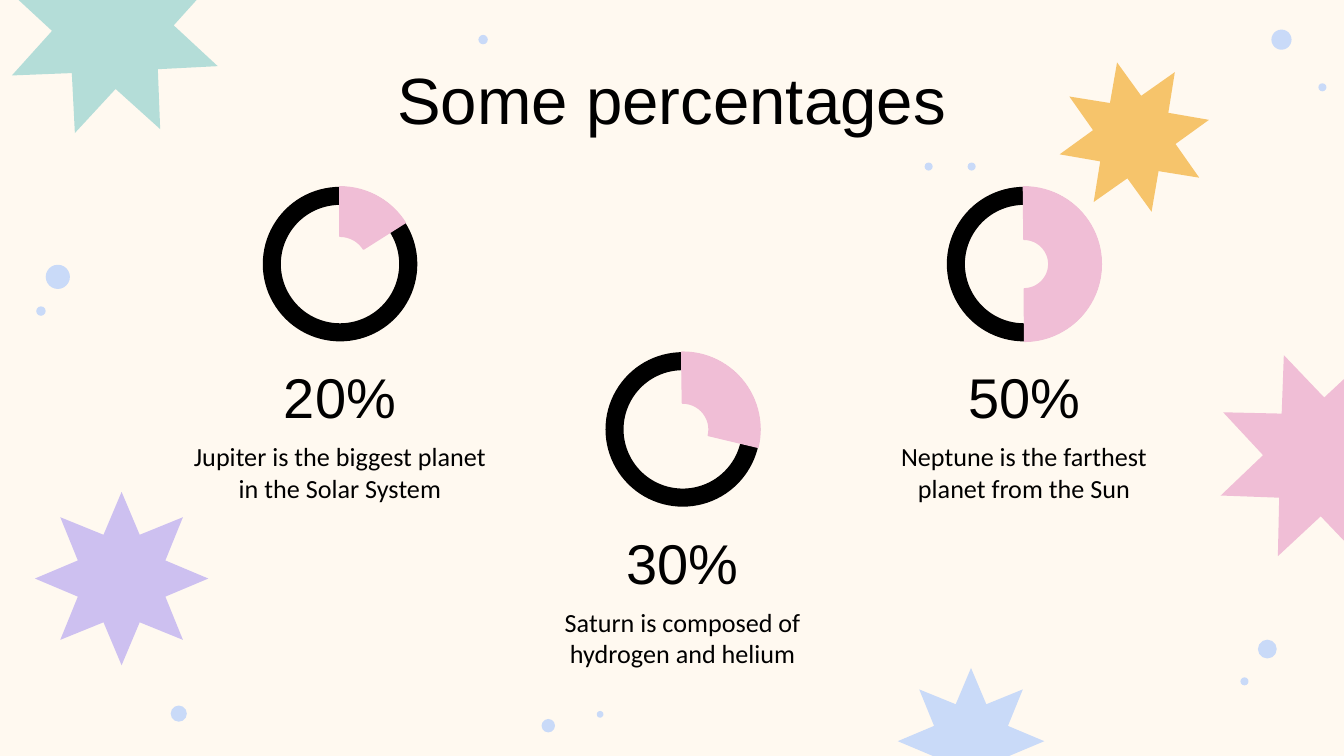
from pptx import Presentation
from pptx.dml.color import RGBColor
from pptx.enum.shapes import MSO_SHAPE
from pptx.enum.text import MSO_ANCHOR, PP_ALIGN
from pptx.util import Inches, Pt

CREAM = RGBColor(0xFF, 0xF9, 0xF0)
BLACK = RGBColor(0x00, 0x00, 0x00)
PINK = RGBColor(0xF0, 0xBE, 0xD6)
ORANGE = RGBColor(0xF6, 0xC4, 0x6B)
LILAC = RGBColor(0xCD, 0xC0, 0xF0)
MINT = RGBColor(0xB4, 0xDD, 0xD8)
BLUE = RGBColor(0xC9, 0xDA, 0xF8)

# left, top, size, rotation, colour
STARS = [
    (7.87, 0.45, 1.14, 347, ORANGE),
    (9.03, 2.59, 1.62, 339.2, PINK),
    (0.26, 3.66, 1.29, 0, LILAC),
    (0.01, -0.62, 1.66, 19.9, MINT),
    (6.68, 4.97, 1.09, 0, BLUE),
]
# left, top, diameter
DOTS = [
    (0.34, 1.97, 0.18), (0.27, 2.28, 0.07), (3.56, 0.26, 0.07),
    (9.46, 0.22, 0.15), (1.27, 5.25, 0.12), (9.81, 0.62, 0.06),
    (6.88, 1.21, 0.06), (4.44, 5.29, 0.05), (4.03, 5.35, 0.1),
    (9.36, 4.76, 0.14), (9.23, 5.04, 0.06), (7.2, 1.21, 0.06),
]
# left, top, percentage, fact, arc start and end in degrees, arc thickness
PLANETS = [
    (6.24, 1.39, "50%", "Neptune is the farthest planet from the Sun",
     269.5, 89.6, 0.34),
    (1.15, 1.39, "20%", "Jupiter is the biggest planet in the Solar System",
     269.8, 327.6, 0.32),
    (3.7, 2.62, "30%", "Saturn is composed of hydrogen and helium",
     269.2, 13.4, 0.33),
]
COLUMN_WIDTH = 2.76
RING_SIZE = 1.15
FACT_WIDTH = 2.53
ANGLE_UNIT = 0.6  # one degree as an adjustment value


def add_square_shape(slide, preset, left, top, size, color, adjustments=()):
    shape = slide.shapes.add_shape(
        preset, Inches(left), Inches(top), Inches(size), Inches(size))
    shape.shadow.inherit = False
    shape.fill.solid()
    shape.fill.fore_color.rgb = color
    shape.line.fill.background()
    for index, value in enumerate(adjustments):
        shape.adjustments[index] = value
    return shape


def add_centered_text(slide, left, top, width, height, text, font, size):
    box = slide.shapes.add_textbox(
        Inches(left), Inches(top), Inches(width), Inches(height))
    frame = box.text_frame
    frame.word_wrap = True
    frame.vertical_anchor = MSO_ANCHOR.TOP
    frame.margin_left = frame.margin_right = Inches(0.1)
    frame.margin_top = frame.margin_bottom = Inches(0.1)
    paragraph = frame.paragraphs[0]
    paragraph.alignment = PP_ALIGN.CENTER
    run = paragraph.add_run()
    run.text = text
    run.font.name = font
    run.font.size = Pt(size)
    run.font.color.rgb = BLACK


def add_decorations(slide):
    for left, top, size, rotation, color in STARS:
        star = add_square_shape(slide, MSO_SHAPE.STAR_8_POINT, left, top, size,
                                color, [0.273])
        star.rotation = rotation
    for left, top, diameter in DOTS:
        add_square_shape(slide, MSO_SHAPE.OVAL, left, top, diameter, BLUE)


def add_planet(slide, left, top, percentage, fact, start, end, thickness):
    """Place a ring with its share, the percentage and the fact below."""
    ring_left = left + (COLUMN_WIDTH - RING_SIZE) / 2
    add_square_shape(slide, MSO_SHAPE.DONUT, ring_left, top, RING_SIZE, BLACK,
                     [0.117])
    share = add_square_shape(
        slide, MSO_SHAPE.BLOCK_ARC, ring_left, top, RING_SIZE, PINK,
        [start * ANGLE_UNIT, end * ANGLE_UNIT, thickness])
    share.line.color.rgb = PINK
    share.line.width = Pt(0.75)
    add_centered_text(slide, left, top + 1.21, COLUMN_WIDTH, 0.51,
                      percentage, "Arial", 30)
    add_centered_text(slide, left + (COLUMN_WIDTH - FACT_WIDTH) / 2,
                      top + 1.79, FACT_WIDTH, 0.66, fact, "Calibri", 14)


def main():
    presentation = Presentation()
    presentation.slide_width = Inches(10)
    presentation.slide_height = presentation.slide_width * 9 // 16
    slide = presentation.slides.add_slide(presentation.slide_layouts[6])
    slide.background.fill.solid()
    slide.background.fill.fore_color.rgb = CREAM
    add_decorations(slide)
    for planet in PLANETS:
        add_planet(slide, *planet)
    add_centered_text(slide, 0.87, 0.34, 8.26, 0.62, "Some percentages",
                      "Arial", 35)
    presentation.save("out.pptx")


if __name__ == "__main__":
    main()
